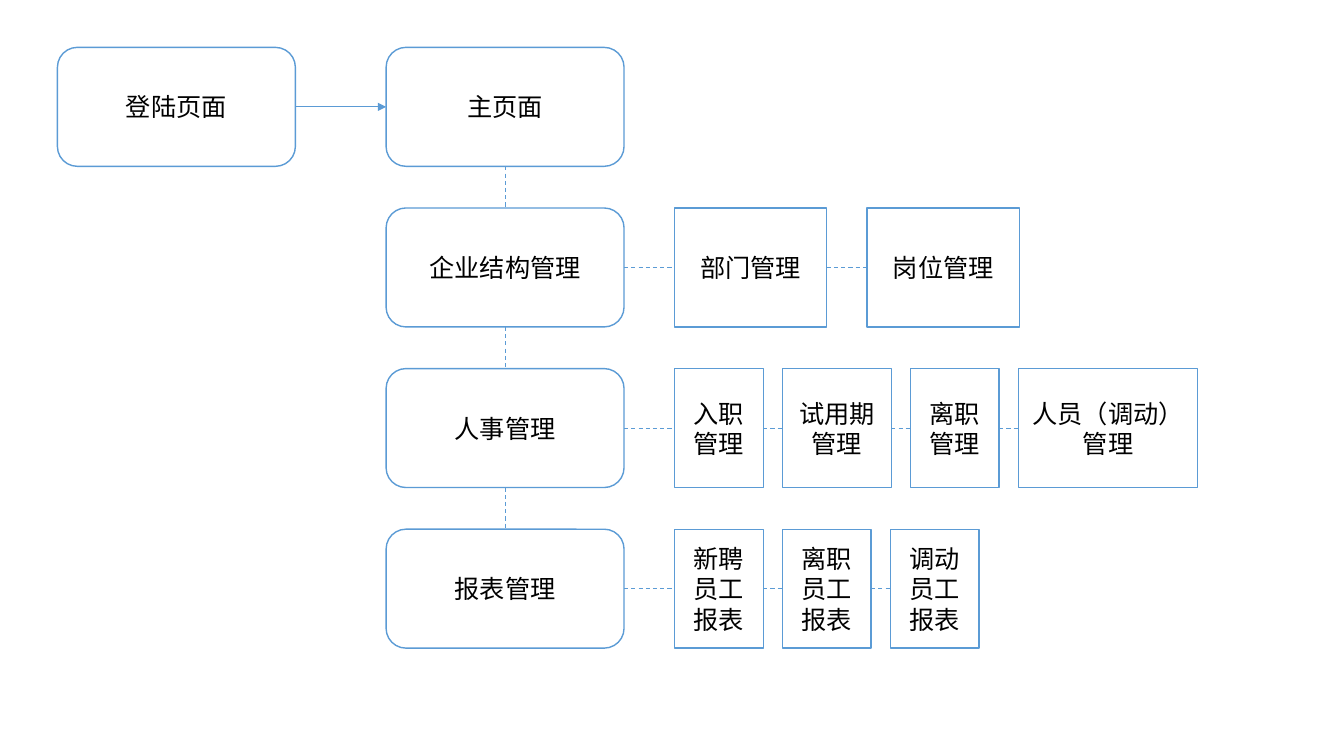
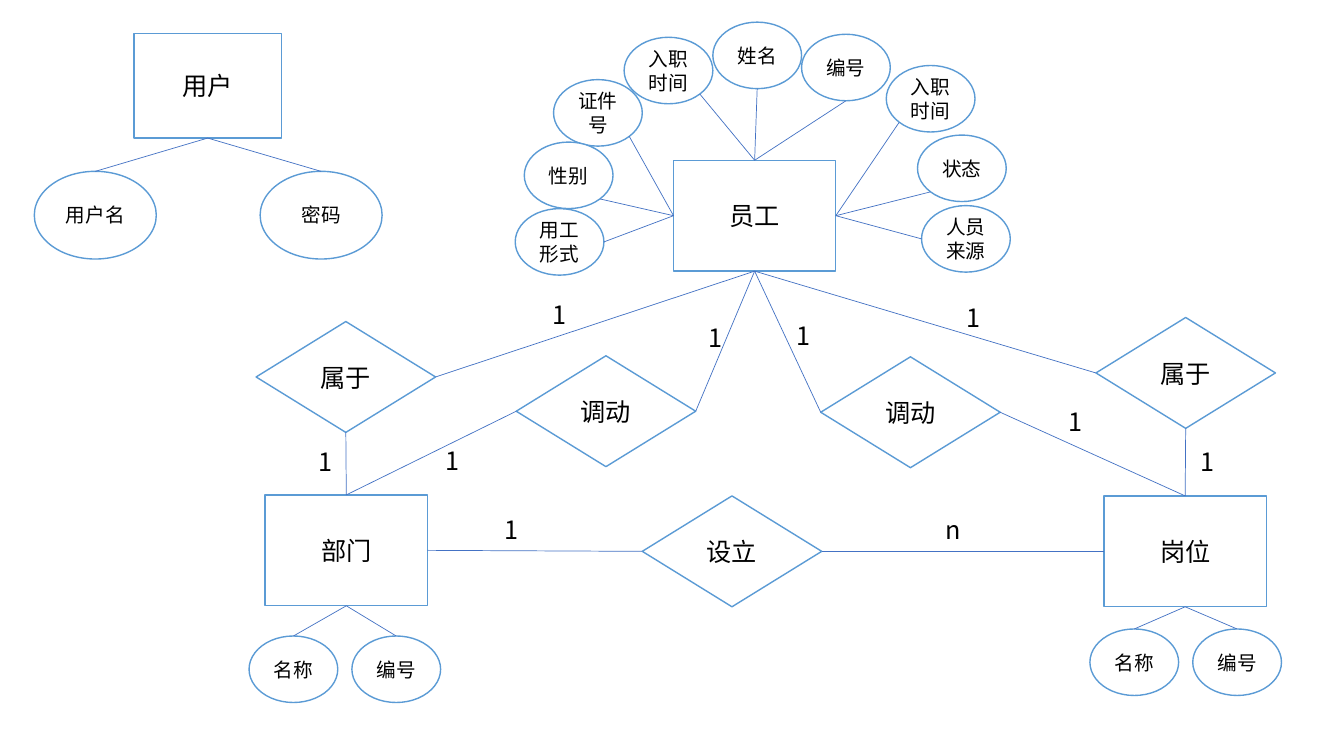
from pptx import Presentation
from pptx.util import Inches, Pt
from pptx.dml.color import RGBColor
from pptx.enum.dml import MSO_LINE
from pptx.enum.shapes import MSO_SHAPE as Geo, MSO_CONNECTOR as Conn
from pptx.enum.text import MSO_ANCHOR as Anchor, MSO_AUTO_SIZE as Auto, PP_ALIGN as Align
from pptx.oxml.ns import qn
from lxml import etree

# Shared style
FONT = "Noto Sans CJK SC"
EDGE, LINK, PAPER, INK = "5B9BD5", "4472C4", "FFFFFF", "000000"
DIAG = 0.354  # half of sin 45°, for the slanted sites of an ellipse
SITES = {
    "n": (0.5, 0), "s": (0.5, 1), "w": (0, 0.5), "e": (1, 0.5),
    "sw": (0.5 - DIAG, 0.5 + DIAG), "se": (0.5 + DIAG, 0.5 + DIAG),
}

# Page map: main column, then each row's boxes as (text, width)
LOGIN, HOME = "登陆页面", "主页面"
ROWS = [
    ("企业结构管理", 0.4, [("部门管理", 1.51), ("岗位管理", 1.51)]),
    ("人事管理", 0.19, [("入职管理", 0.88), ("试用期\n管理", 1.08),
                    ("离职管理", 0.88), ("人员（调动）管理", 1.78)]),
    ("报表管理", 0.19, [("新聘员工报表", 0.88), ("离职员工报表", 0.88),
                    ("调动员工报表", 0.88)]),
]
TOP, STEP, BOX_W, BOX_H = 0.47, 4.78 / 3, 2.36, 1.18
LOGIN_X, MAIN_X, SUB_X = 0.57, 3.83, 6.69

# Entities: name, box, attribute size, attributes (text, left, top, entity site, own site)
BIG, OVAL = (1.61, 1.1), (0.88, 0.66)
ENTITIES = [
    ("用户", (1.33, 0.33, 1.46, 1.04), (1.21, 0.87), [
        ("用户名", 0.34, 1.7, "s", "n"), ("密码", 2.58, 1.7, "s", "n")]),
    ("部门", (2.63, 4.91, *BIG), OVAL, [
        ("名称", 2.47, 6.31, "s", "n"), ("编号", 3.49, 6.31, "s", "n")]),
    ("岗位", (10.95, 4.92, *BIG), OVAL, [
        ("名称", 10.81, 6.24, "s", "n"), ("编号", 11.83, 6.24, "s", "n")]),
    ("员工", (6.68, 1.59, *BIG), OVAL, [
        ("姓名", 7.07, 0.22, "n", "s"), ("用工形式", 5.11, 2.07, "w", "e"),
        ("入职时间", 6.19, 0.37, "n", "se"), ("证件号", 5.49, 0.79, "w", "se"),
        ("编号", 7.95, 0.34, "n", "s"), ("性别", 5.2, 1.41, "w", "se"),
        ("入职时间", 8.79, 0.65, "e", "sw"), ("状态", 9.1, 1.34, "e", "sw"),
        ("人员来源", 9.14, 2.04, "e", "w")]),
]
# Relations: name, left, top, links (own site, entity, entity site)
RELATIONS = [
    ("设立", 6.37, 4.92, [("w", "部门", "e"), ("e", "岗位", "w")]),
    ("属于", 10.87, 3.15, [("s", "岗位", "n"), ("w", "员工", "s")]),
    ("属于", 2.54, 3.19, [("e", "员工", "s"), ("s", "部门", "n")]),
    ("调动", 5.12, 3.53, [("e", "员工", "s"), ("w", "部门", "n")]),
    ("调动", 8.14, 3.54, [("w", "员工", "s"), ("e", "岗位", "n")]),
]
COUNTS = [
    ("1", 4.91, 5.05), ("n", 9.28, 5.05), ("1", 11.81, 4.38), ("1", 9.49, 2.95),
    ("1", 5.38, 2.92), ("1", 3.06, 4.38), ("1", 4.32, 4.37), ("1", 6.93, 3.15),
    ("1", 10.5, 3.98), ("1", 7.8, 3.13),
]


def color(code):
    return RGBColor.from_string(code)


def write(frame, text, size, align):
    frame.text = text
    for para in frame.paragraphs:
        para.alignment = align
        for run in para.runs:
            font = run.font
            font.name, font.size = FONT, Pt(size)
            font.color.rgb = color(INK)
            east = etree.SubElement(run._r.get_or_add_rPr(), qn("a:ea"))
            east.set("typeface", FONT)


def node(shapes, geo, text, box, size=18):
    shape = shapes.add_shape(geo, *map(Inches, box))
    shape.shadow.inherit = False
    shape.fill.solid()
    shape.fill.fore_color.rgb = color(PAPER)
    shape.line.color.rgb = color(EDGE)
    shape.line.width = Pt(1)
    frame = shape.text_frame
    frame.word_wrap = True
    frame.vertical_anchor = Anchor.MIDDLE
    write(frame, text, size, Align.CENTER)
    return box


def site(box, name):
    x, y, w, h = box
    fx, fy = SITES[name]
    return Inches(x + w * fx), Inches(y + h * fy)


def link(shapes, box, out, other, into, code=LINK, width=0.5, dash=False, arrow=False):
    line = shapes.add_connector(Conn.STRAIGHT, *site(box, out), *site(other, into))
    line.line.color.rgb = color(code)
    line.line.width = Pt(width)
    if dash:
        line.line.dash_style = MSO_LINE.DASH
    if arrow:
        etree.SubElement(line.line._get_or_add_ln(), qn("a:tailEnd")).set("type", "triangle")
    etree.SubElement(line._element.spPr, qn("a:effectLst"))


def label(shapes, text, x, y):
    frame = shapes.add_textbox(*map(Inches, (x, y, 0.34, 0.4))).text_frame
    frame.word_wrap = False
    frame.auto_size = Auto.SHAPE_TO_FIT_TEXT
    write(frame, text, 18, Align.LEFT)


def page_map(shapes):
    dashed = dict(code=EDGE, width=0.75, dash=True)
    login = node(shapes, Geo.ROUNDED_RECTANGLE, LOGIN, (LOGIN_X, TOP, BOX_W, BOX_H))
    above = node(shapes, Geo.ROUNDED_RECTANGLE, HOME, (MAIN_X, TOP, BOX_W, BOX_H))
    link(shapes, login, "e", above, "w", code=EDGE, arrow=True)
    for i, (name, gap, subs) in enumerate(ROWS, 1):
        y = TOP + i * STEP
        main = node(shapes, Geo.ROUNDED_RECTANGLE, name, (MAIN_X, y, BOX_W, BOX_H))
        link(shapes, above, "s", main, "n", **dashed)
        above = last = main
        x = SUB_X
        for text, width in subs:
            sub = node(shapes, Geo.RECTANGLE, text, (x, y, width, BOX_H))
            link(shapes, last, "e", sub, "w", **dashed)
            last = sub
            x += width + gap


def entity_map(shapes):
    boxes = {}
    # Each entity is grouped with its attributes
    for name, box, size, attrs in ENTITIES:
        group = shapes.add_group_shape().shapes
        boxes[name] = node(group, Geo.RECTANGLE, name, box)
        for text, x, y, out, into in attrs:
            oval = node(group, Geo.OVAL, text, (x, y, *size), 14)
            link(group, box, out, oval, into)
    for name, x, y, ends in RELATIONS:
        rhomb = node(shapes, Geo.DIAMOND, name, (x, y, 1.78, 1.1))
        for out, other, into in ends:
            link(shapes, rhomb, out, boxes[other], into)
    for count in COUNTS:
        label(shapes, *count)


def main():
    deck = Presentation()
    deck.slide_width, deck.slide_height = Inches(13.33), Inches(7.5)
    blank = deck.slide_layouts[6]
    for draw in (page_map, entity_map):
        draw(deck.slides.add_slide(blank).shapes)
    deck.save("out.pptx")


if __name__ == "__main__":
    main()
